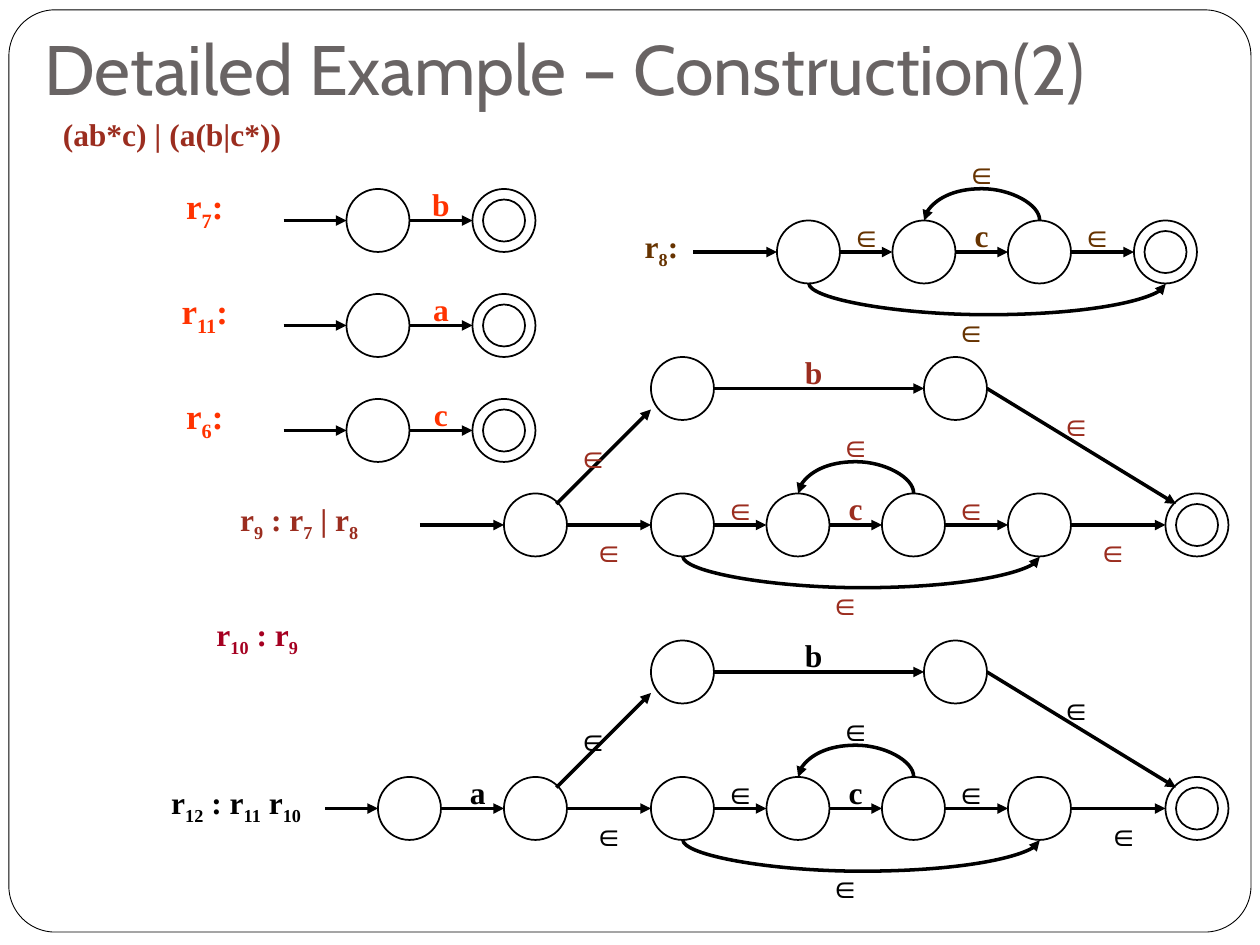
from lxml import etree
from pptx import Presentation
from pptx.dml.color import RGBColor
from pptx.enum.shapes import MSO_CONNECTOR, MSO_SHAPE
from pptx.enum.text import MSO_ANCHOR, MSO_AUTO_SIZE, PP_ALIGN
from pptx.oxml.ns import qn
from pptx.util import Cm, Pt

LEFT, CENTER = PP_ALIGN.LEFT, PP_ALIGN.CENTER
FIT, NO_FIT = MSO_AUTO_SIZE.SHAPE_TO_FIT_TEXT, MSO_AUTO_SIZE.NONE
BOTTOM = MSO_ANCHOR.BOTTOM
OVAL, ROUNDED = MSO_SHAPE.OVAL, MSO_SHAPE.ROUNDED_RECTANGLE
STRAIGHT, CURVE = MSO_CONNECTOR.STRAIGHT, MSO_CONNECTOR.CURVE

COLORS = {"black": "000000", "white": "FFFFFF", "title": "696464", "orange": "FF3300",
          "rust": "9B2D1F", "brown": "663300", "crimson": "A50021"}
RGB = {name: RGBColor.from_string(value) for name, value in COLORS.items()}
UNIT = 2.54 / 12
THIN, BULGE = 0.01, 0.635


def add_label(shapes, text, x, y, w, color, size, align=CENTER):
    box = shapes.add_textbox(Cm(x * UNIT), Cm(y * UNIT), Cm(w * UNIT), Cm(1.02))
    tf = box.text_frame
    tf.word_wrap = align == CENTER
    tf.auto_size = FIT
    p = tf.paragraphs[0]
    p.alignment = align
    for i, part in enumerate(text.split("~")):
        r = p.add_run()
        r.text = part
        fmt = {"name": "Times New Roman", "size": Pt(size), "bold": True}
        for key, value in fmt.items():
            setattr(r.font, key, value)
        r.font.color.rgb = RGB[color]
        if i % 2:
            r.font._element.set("baseline", "-25000")


def add_arrow(shapes, kind, x1, y1, x2, y2):
    c = shapes.add_connector(kind, Cm(x1), Cm(y1), Cm(x2), Cm(y2))
    c.line.width = Pt(2)
    c.line.color.rgb = RGB["black"]
    etree.SubElement(c.line._get_or_add_ln(), qn("a:tailEnd"), type="triangle")
    etree.SubElement(c._element.spPr, qn("a:effectLst"))
    return c


STAR = {
    "states": [(0, 0), (11, 0), (22, 0), (34, 0)],
    "arrows": [(6, 3, 11, 3), (17, 3, 22, 3), (28, 3, 34, 3)],
    "curves": [(3, 6, 37), (25, 0, 14)],
    "labels": [("c", 16, -1, 7), ("∈", 27, -1, 7), ("∈", 15, 8, 7),
               ("∈", 16, -7, 7), ("∈", 5, -1, 7)],
}
UNION = {
    "states": [(48, 0), (62, -13), (88, -13), (111, 0)],
    "finals": [(111, 0)],
    "arrows": [(54, 3, 62, 3), (102, 3, 111, 3), (94, -10, 112, 1),
               (68, -10, 88, -10), (53, 1, 62, -8)],
    "labels": [("∈", 99, -9, 7), ("∈", 53, -6, 7), ("b", 74, -14, 7), ("∈", 54, 3, 8)],
}
LETTER = {
    "states": [(33, 0), (45, 0)],
    "finals": [(45, 0)],
    "arrows": [(27, 3, 33, 3), (39, 3, 45, 3)],
}
R8 = {"finals": [(108, 0)], "arrows": [(66, 3, 74, 3)], "labels": [("r~8~:", 59, 0, 8)]}
R9 = {
    "arrows": [(40, 3, 48, 3)],
    "labels": [("r~9~ : r~7~ | r~8", 20, 0, 17), ("∈", 102, 3, 8)],
}
R12 = {
    "states": [(36, 0)],
    "arrows": [(31, 3, 36, 3), (42, 3, 48, 3)],
    "labels": [("r~12~ : r~11~ r~10", 14, 0, 17), ("a", 42, -1, 7), ("∈", 103, 3, 8)],
}

automata = [
    ("brown", [(STAR, 74, 21), (R8, 0, 21)]),
    ("rust", [(STAR, 62, 47), (UNION, 0, 47), (R9, 0, 47)]),
    ("black", [(STAR, 62, 74), (UNION, 0, 74), (R12, 0, 74)]),
]
for number, letter, y in [("7", "b", 18), ("11", "a", 28), ("6", "c", 38)]:
    automata.append(("orange", [(LETTER, 0, y), ({"labels": [(letter, 39, -1, 6)]}, 0, y)]))

prs = Presentation()
prs.slide_width, prs.slide_height = Cm(25.4), Cm(19.05)
s = prs.slides.add_slide(prs.slide_layouts[5])

title = s.shapes.title
title.left, title.top, title.width, title.height = Cm(0.64), Cm(0), Cm(22.43), Cm(2.34)
tf = title.text_frame
tf.auto_size = NO_FIT
tf.vertical_anchor = BOTTOM
p = tf.paragraphs[0]
p.alignment = LEFT
r = p.add_run()
r.text = "Detailed Example – Construction(2)"
for key, value in {"name": "Cabin", "size": Pt(40)}.items():
    setattr(r.font, key, value)
r.font.color.rgb = RGB["title"]

frame = s.shapes.add_shape(ROUNDED, Cm(0.18), Cm(0.2), Cm(25.04), Cm(18.59))
frame.adjustments[0] = 0.05
frame.shadow.inherit = False
frame.fill.solid()
frame.fill.fore_color.rgb = RGB["white"]
frame.line.color.rgb = RGB["black"]
frame.line.width = Pt(0.5)
s.shapes._spTree.insert(2, frame._element)

for color, parts in automata:
    shapes = s.shapes.add_group_shape().shapes
    for part, dx, dy in parts:
        circles = [(x, y, 6) for x, y in part.get("states", [])]
        circles += [(x + 1, y + 1, 4) for x, y in part.get("finals", [])]
        for x, y, d in circles:
            circle = shapes.add_shape(OVAL, Cm((dx + x) * UNIT), Cm((dy + y) * UNIT),
                                      Cm(d * UNIT), Cm(d * UNIT))
            circle.shadow.inherit = False
            circle.fill.background()
            circle.line.color.rgb = RGB["black"]
            circle.line.width = Pt(1)
        for x1, y1, x2, y2 in part.get("arrows", []):
            add_arrow(shapes, STRAIGHT, (dx + x1) * UNIT, (dy + y1) * UNIT,
                      (dx + x2) * UNIT, (dy + y2) * UNIT)
        for x1, y, x2 in part.get("curves", []):
            middle, half = (dx + (x1 + x2) / 2) * UNIT, abs(x2 - x1) / 2 * UNIT
            level = (dy + y) * UNIT
            c = add_arrow(shapes, CURVE, middle, level - half, middle + THIN, level + half)
            xfrm = c._element.spPr.find(qn("a:xfrm"))
            xfrm.set("rot", "16200000")
            xfrm.set("flipH", "1")
            bend = round(BULGE / THIN * 100000)
            if x2 < x1:
                xfrm.set("flipV", "1")
                bend = -bend
            guides = c._element.spPr.find(qn("a:prstGeom")).find(qn("a:avLst"))
            etree.SubElement(guides, qn("a:gd"), name="adj1", fmla=f"val {bend}")
        for text, x, y, w in part.get("labels", []):
            add_label(shapes, text, dx + x, dy + y, w, color, 18)

for text, y in [("r~7~:", 17), ("r~11~:", 27), ("r~6~:", 37)]:
    add_label(s.shapes, text, 15, y, 9, "orange", 20)
add_label(s.shapes, "r~10~ : r~9", 16, 58, 17, "crimson", 18)
add_label(s.shapes, "(ab*c) | (a(b|c*))", 4.8, 10.4, 24.4, "rust", 18, LEFT)

prs.save("out.pptx")
